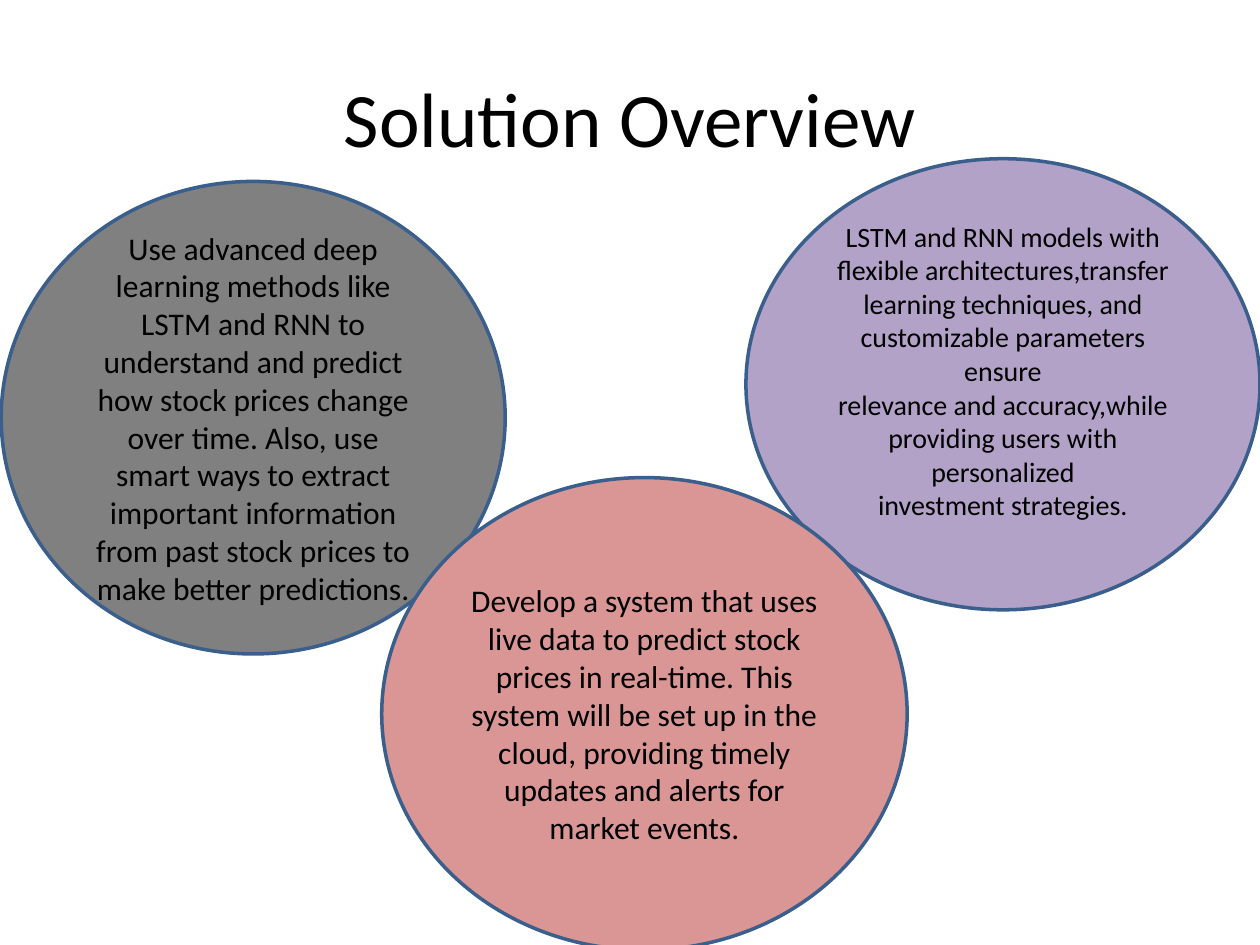
from dataclasses import dataclass
from pptx import Presentation
from pptx.dml.color import RGBColor as RGB
from pptx.enum.shapes import MSO_SHAPE as Shape
from pptx.enum.text import MSO_ANCHOR as Anchor, PP_ALIGN as Align
from pptx.util import Inches, Pt


@dataclass(frozen=True)
class Theme:
    font: str = "Calibri"
    ink: str = "000000"
    edge: str = "3A5F8C"
    gray: str = "808080"
    violet: str = "B3A2C7"
    rose: str = "D99694"
    head: int = 44
    body: int = 18
    small: int = 16
    rule: int = 2


THEME = Theme()

TITLE = ("Solution Overview", (0.5, 0.3, 9, 1.25))

IDEAS = [
    dict(
        text="Use advanced deep learning methods like LSTM and RNN to understand "
        "and predict how stock prices change over time. Also, use smart ways to "
        "extract important information from past stock prices to make better "
        "predictions.",
        box=(0.01, 1.44, 4, 3.75), fill=THEME.gray, size=THEME.body, lift=0,
    ),
    dict(
        text="LSTM and RNN models with\nflexible architectures,transfer\n"
        "learning techniques, and\ncustomizable parameters ensure\n"
        "relevance and accuracy,while\nproviding users with personalized\n"
        "investment strategies.",
        box=(5.92, 1.26, 4.08, 3.58), fill=THEME.violet, size=THEME.small, lift=0.22,
    ),
    dict(
        text="Develop a system that uses live data to predict stock prices in "
        "real-time. This system will be set up in the cloud, providing timely "
        "updates and alerts for market events.",
        box=(3.03, 3.79, 4.17, 3.75), fill=THEME.rose, size=THEME.body, lift=0,
    ),
]


def write(shape, text, *, size, lift=0):
    frame = shape.text_frame
    frame.word_wrap = True
    frame.vertical_anchor = Anchor.MIDDLE
    frame.margin_bottom = Inches(0.05 + lift)
    para = frame.paragraphs[0]
    para.text = text
    para.alignment = Align.CENTER
    para.font.name = THEME.font
    para.font.size = Pt(size)
    para.font.color.rgb = RGB.from_string(THEME.ink)
    for run in para.runs:
        run.font.name = THEME.font
        run.font.size = Pt(size)
        run.font.color.rgb = RGB.from_string(THEME.ink)


def bubble(slide, text, box, fill, size, lift):
    oval = slide.shapes.add_shape(Shape.OVAL, *map(Inches, box))
    oval.shadow.inherit = False
    oval.fill.solid()
    oval.fill.fore_color.rgb = RGB.from_string(fill)
    oval.line.color.rgb = RGB.from_string(THEME.edge)
    oval.line.width = Pt(THEME.rule)
    write(oval, text, size=size, lift=lift)


def main():
    deck = Presentation()
    deck.slide_width, deck.slide_height = Inches(10), Inches(7.5)
    slide = deck.slides.add_slide(deck.slide_layouts[6])
    text, box = TITLE
    write(slide.shapes.add_textbox(*map(Inches, box)), text, size=THEME.head)
    for idea in IDEAS:
        bubble(slide, **idea)
    deck.save("out.pptx")


if __name__ == "__main__":
    main()
